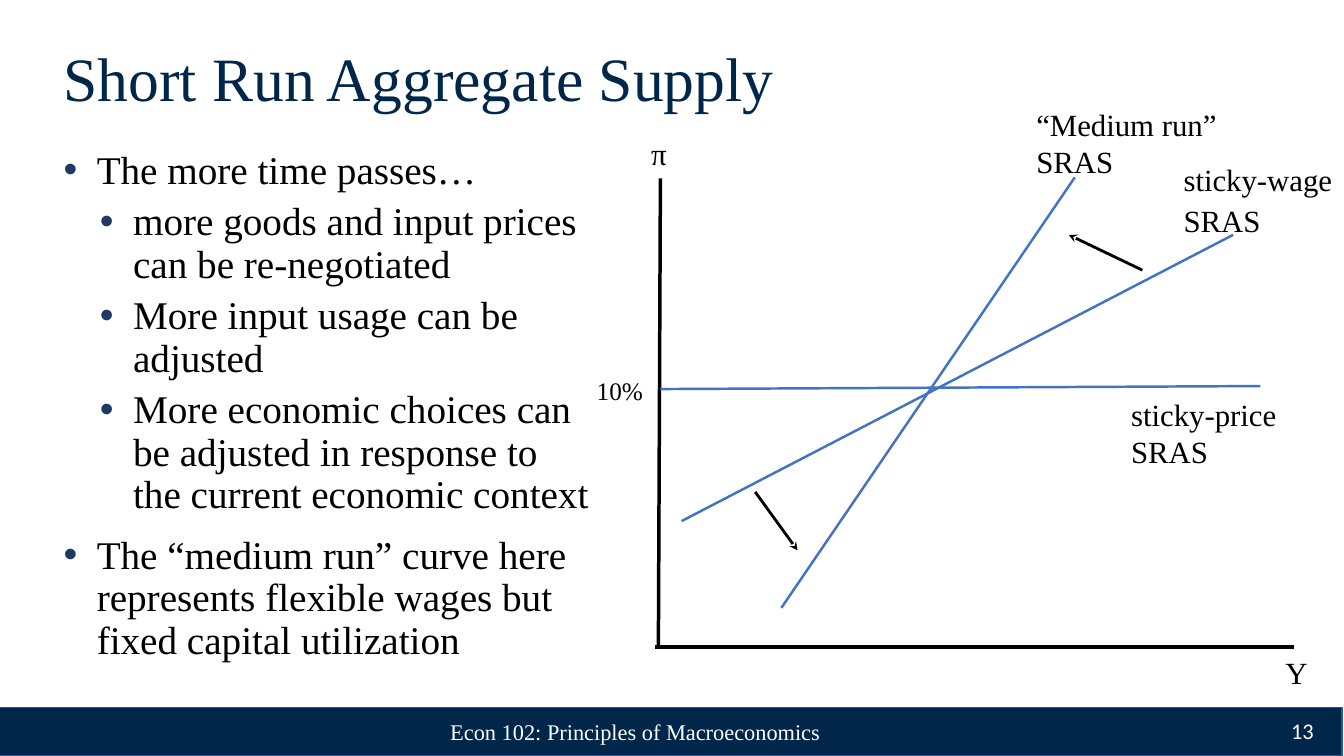
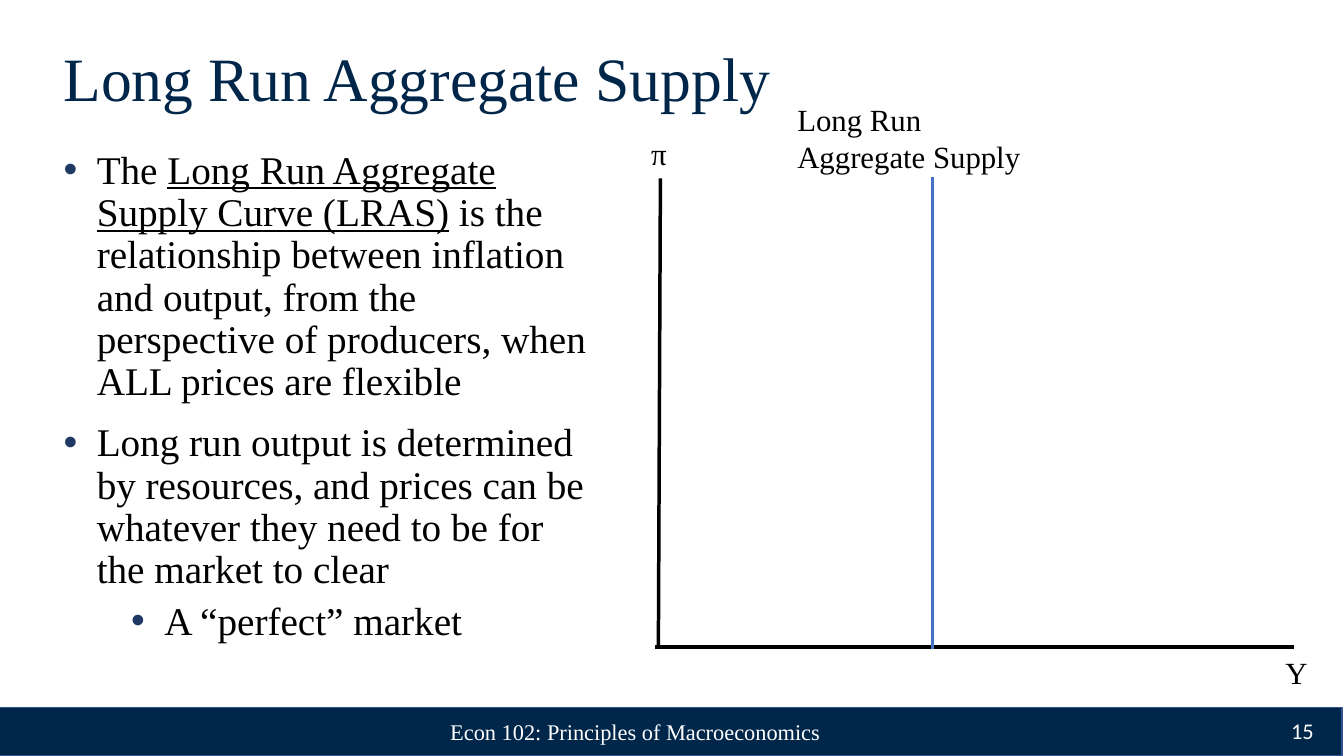
from dataclasses import dataclass

from lxml.etree import SubElement as Sub
from pptx import Presentation as Deck
from pptx.dml.color import RGBColor as Color
from pptx.enum.shapes import MSO_CONNECTOR as Conn, MSO_SHAPE as Form
from pptx.enum.text import MSO_ANCHOR as Anchor, MSO_AUTO_SIZE as Fit, PP_ALIGN as Align
from pptx.oxml.ns import qn
from pptx.util import Inches, Pt

NAVY, EDGE, MARK = "00264A", "325491", "203864"
BLUE, BLACK, WHITE = "4472C4", "000000", "FFFFFF"
SERIF, SANS = "Times New Roman", "Calibri"
WIDE, THIN = (0.13, 0.07), (0.1, 0.05)


@dataclass
class Font:
    size: float
    color: str = BLACK
    face: str = SERIF


@dataclass
class Line:
    start: tuple[float, float]
    end: tuple[float, float]
    color: str = BLUE
    width: float = 1.75
    arrow: bool = False


@dataclass
class Label:
    box: tuple[float, float, float, float]
    rows: tuple[str, ...]
    size: float = 22
    wrap: bool = False


@dataclass
class Point:
    runs: tuple[str, ...]
    indent: float = 0.33
    space: float = 13.3
    under: int = -1


@dataclass
class Page:
    title: str
    number: str
    points: list[Point]
    lines: list[Line]
    labels: list[Label]


HEAD, BODY = Font(44, NAVY), Font(28)
FOOT, COUNT = Font(16, WHITE), Font(16, WHITE, SANS)

AXES = [
    Line((6.5, 6.42), (12.83, 6.42), BLACK, 2.5),
    Line((6.55, 1.77), (6.53, 6.42), BLACK, 2.5),
]
NAMES = [
    Label((6.36, 1.29, 0.36, 0.47), ("π",)),
    Label((12.65, 6.44, 0.42, 0.47), ("Y",)),
]

PAGES = [
    Page(
        "Short Run Aggregate Supply",
        "13",
        [
            Point(("The more time passes…",)),
            Point(("more goods and input prices can be re-negotiated",), 0.69, 6.7),
            Point(("More input usage can be adjusted",), 0.69, 6.7),
            Point(("More economic choices can be adjusted in response to "
                   "the current economic context",), 0.69, 6.7),
            Point(("The “medium run” curve here represents flexible wages "
                   "but fixed capital utilization",)),
        ],
        [
            Line((6.55, 3.86), (12.5, 3.83)),
            Line((6.76, 5.17), (12.23, 2.33)),
            Line((7.75, 6.03), (10.66, 1.76)),
            Line((11.33, 2.68), (10.6, 2.33), BLACK, 2, True),
            Line((7.49, 4.88), (7.91, 5.46), BLACK, 2, True),
        ],
        [
            Label((5.82, 3.67, 0.75, 0.4), ("10%",), 18, True),
            Label((11.12, 3.88, 1.71, 0.84), ("sticky-price", "SRAS")),
            Label((11.64, 1.95, 0.97, 0.47), ("SRAS",)),
            Label((11.64, 1.55, 1.69, 0.47), ("sticky-wage",)),
            Label((10.18, 1, 2.23, 0.84), ("“Medium run” SRAS",), wrap=True),
        ],
    ),
    Page(
        "Long Run Aggregate Supply",
        "15",
        [
            Point(("The ", "Long Run Aggregate Supply Curve (LRAS)",
                   " is the relationship between inflation and output, from the "
                   "perspective of producers, when ALL prices are flexible"), under=1),
            Point(("Long run output is determined by resources, and prices can be "
                   "whatever they need to be for the market to clear",)),
            Point(("A “perfect” market",), 1, 6.7),
        ],
        [Line((9.25, 6.44), (9.25, 1.76))],
        [Label((7.81, 0.95, 2.44, 0.84), ("Long Run", "Aggregate Supply"))],
    ),
]


def paint(target, color: str) -> None:
    target.solid()
    target.fore_color.rgb = Color.from_string(color)


def add_run(para, text: str, font: Font):
    run = para.add_run()
    run.text = text
    run.font.size = Pt(font.size)
    run.font.name = font.face
    paint(run.font.fill, font.color)
    return run


def add_box(slide, box: tuple, inset: tuple = WIDE, anchor=Anchor.TOP, wrap: bool = True):
    frame = slide.shapes.add_textbox(*map(Inches, box)).text_frame
    frame.word_wrap = wrap
    frame.vertical_anchor = anchor
    frame.margin_left = frame.margin_right = Inches(inset[0])
    frame.margin_top = frame.margin_bottom = Inches(inset[1])
    return frame


def add_text(slide, box: tuple, text: str, font: Font, align=Align.LEFT):
    para = add_box(slide, box, anchor=Anchor.MIDDLE).paragraphs[0]
    para.alignment = align
    add_run(para, text, font)
    return para


def next_para(frame, index: int):
    return frame.add_paragraph() if index else frame.paragraphs[0]


def add_points(slide, points: list[Point]) -> None:
    frame = add_box(slide, (0.5, 1.42, 5.52, 5.63))
    for i, point in enumerate(points):
        para = next_para(frame, i)
        para.level = int(point.indent > 0.33)
        para.line_spacing = 0.9
        para.space_before = Pt(point.space)
        props = para._p.get_or_add_pPr()
        props.set("marL", str(Inches(point.indent)))
        props.set("indent", str(Inches(-0.33)))
        Sub(Sub(props, qn("a:buClr")), qn("a:srgbClr")).set("val", MARK)
        Sub(props, qn("a:buFont")).set("typeface", "Arial")
        Sub(props, qn("a:buChar")).set("char", "•")
        for j, text in enumerate(point.runs):
            run = add_run(para, text, BODY)
            if j == point.under:
                run.font.underline = True


def add_line(slide, line: Line) -> None:
    ends = map(Inches, (*line.start, *line.end))
    shape = slide.shapes.add_connector(Conn.STRAIGHT, *ends)
    paint(shape.line.fill, line.color)
    shape.line.width = Pt(line.width)
    props = shape._element.spPr
    if line.arrow:
        Sub(props.find(qn("a:ln")), qn("a:tailEnd")).set("type", "stealth")
    Sub(props, qn("a:effectLst"))


def add_label(slide, label: Label) -> None:
    frame = add_box(slide, label.box, THIN, wrap=label.wrap)
    frame.auto_size = Fit.SHAPE_TO_FIT_TEXT
    for i, row in enumerate(label.rows):
        add_run(next_para(frame, i), row, Font(label.size))


def add_frame(slide, page: Page) -> None:
    band = slide.shapes.add_shape(Form.RECTANGLE, *map(Inches, (-0.02, 7.02, 13.33, 0.48)))
    band.shadow.inherit = False
    paint(band.fill, NAVY)
    paint(band.line.fill, EDGE)
    band.line.width = Pt(1)
    add_text(slide, (0.5, 0.4, 12.33, 0.81), page.title, HEAD).line_spacing = 0.9
    add_points(slide, page.points)
    add_text(slide, (4.05, 7.06, 4.5, 0.4), "Econ 102: Principles of Macroeconomics",
             FOOT, Align.CENTER)
    add_text(slide, (12.23, 7.05, 0.93, 0.4), page.number, COUNT, Align.RIGHT)


def main() -> None:
    """Build the aggregate supply slides and save them."""
    deck = Deck()
    deck.slide_width, deck.slide_height = Inches(13.33), Inches(7.5)
    for page in PAGES:
        slide = deck.slides.add_slide(deck.slide_layouts[6])
        add_frame(slide, page)
        for line in AXES + page.lines:
            add_line(slide, line)
        for label in NAMES + page.labels:
            add_label(slide, label)
    deck.save("out.pptx")


if __name__ == "__main__":
    main()
